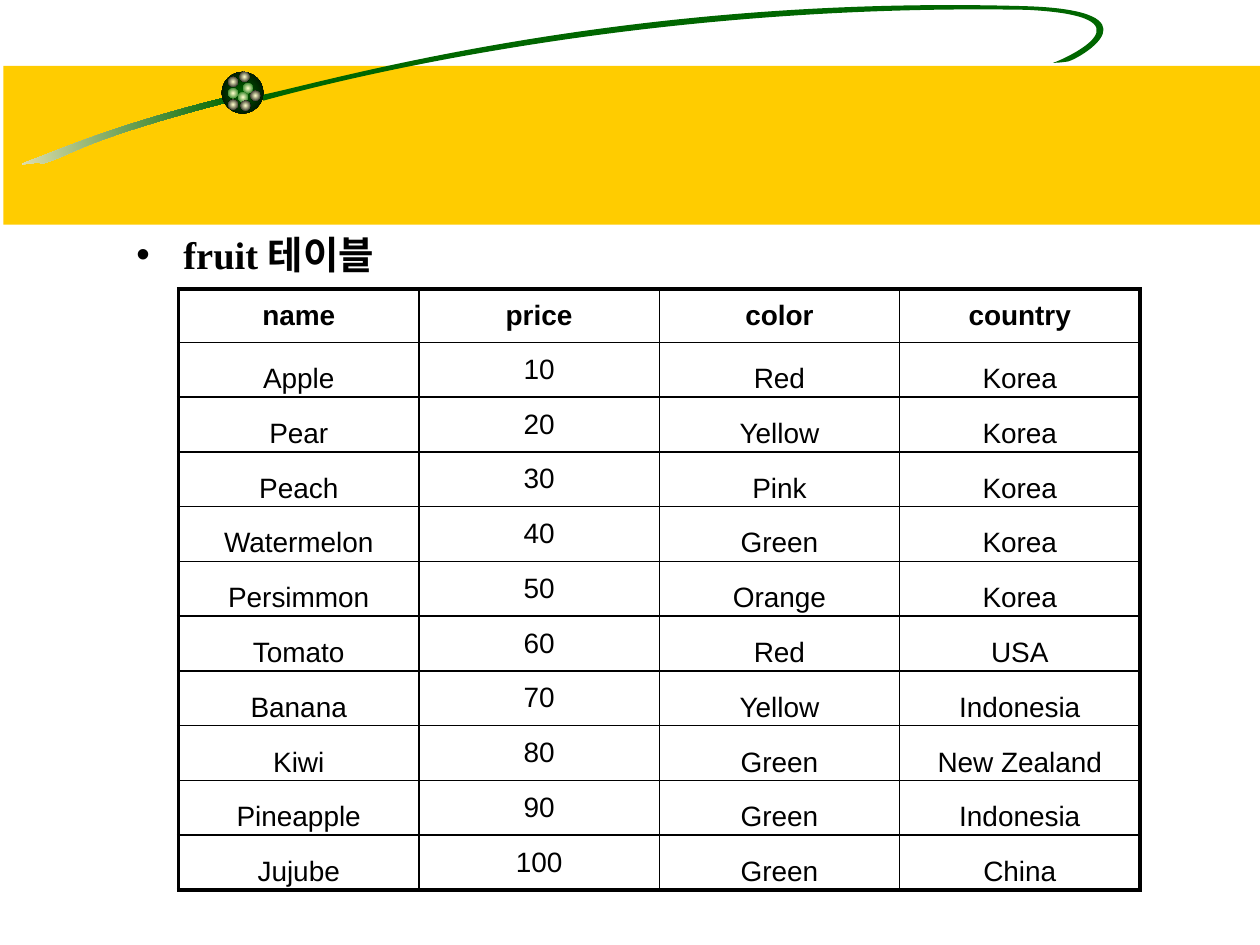
import math

from lxml import etree
from pptx import Presentation, util as u
from pptx.dml import color as dml
from pptx.enum import shapes, text
from pptx.oxml import ns

BLACK, GREEN, CREAM, GOLD = "000000", "006600", "FFFFCC", "FFCC00"

HEADER = ["name", "price", "color", "country"]
FRUITS = [
    ["Apple", 10, "Red", "Korea"],
    ["Pear", 20, "Yellow", "Korea"],
    ["Peach", 30, "Pink", "Korea"],
    ["Watermelon", 40, "Green", "Korea"],
    ["Persimmon", 50, "Orange", "Korea"],
    ["Tomato", 60, "Red", "USA"],
    ["Banana", 70, "Yellow", "Indonesia"],
    ["Kiwi", 80, "Green", "New Zealand"],
    ["Pineapple", 90, "Green", "Indonesia"],
    ["Jujube", 100, "Green", "China"],
]

# Outlines in cm: a start point, then Bezier segments (two controls and an end)
TAIL = [(4.57, 1.96),
        (2.36, 2.51), (1.32, 2.97), (0.71, 3.2),
        (0.08, 3.43), (0.74, 3.23), (0.86, 3.3),
        (1.5, 3.12), (1.52, 2.87), (4.6, 2.06),
        (4.6, 2.06), (4.57, 1.96), (4.57, 1.96)]
LOOP = [(5.21, 1.93),
        (6.32, 1.73), (12.42, -0.13), (20.75, 0.13),
        (23.34, 0.23), (21.84, 1.14), (21.54, 1.24),
        (21.54, 1.24), (21.36, 1.27), (21.23, 1.27),
        (21.51, 1.17), (23.34, 0.33), (20.7, 0.2),
        (13.97, 0.08), (8.2, 1.24), (5.31, 2.03),
        (5.31, 2.03), (5.21, 1.93), (5.21, 1.93)]
TILT = 9  # degrees, counter-clockwise

# Highlights on the ball: offset from its corner in cm and rim colour
DOTS = [(0.43, 0.23, GREEN), (0.13, 0.1, BLACK), (0.13, 0.33, GREEN),
        (0.33, 0.41, GREEN), (0.58, 0.38, BLACK), (0.38, 0.58, BLACK),
        (0.13, 0.56, BLACK), (0.36, 0, BLACK)]


def rgb(value):
    return dml.RGBColor.from_string(value)


def apply(target, **values):
    for name, value in values.items():
        setattr(target, name, value)


def add_xml(parent, tag, **attributes):
    return etree.SubElement(parent, ns.qn(tag), attributes)


def paint(shape, *colors, radial=False):
    """Fill a shape with one colour, or with a gradient between two."""
    shape.shadow.inherit = False
    shape.line.fill.background()
    if len(colors) == 1:
        shape.fill.solid()
        shape.fill.fore_color.rgb = rgb(colors[0])
        return
    shape.fill.gradient()
    shape.fill.gradient_angle = 0
    for stop, value, position in zip(shape.fill.gradient_stops, colors, (0, 1)):
        stop.color.rgb = rgb(value)
        stop.position = position
    if radial:
        gradient = shape.element.spPr.find(ns.qn("a:gradFill"))
        gradient.remove(gradient.find(ns.qn("a:lin")))
        circle = add_xml(gradient, "a:path", path="circle")
        add_xml(circle, "a:fillToRect", l="50000", t="50000", r="50000", b="50000")


def add_plain(page, kind, left, top, width, height):
    return page.shapes.add_shape(kind, u.Cm(left), u.Cm(top), u.Cm(width), u.Cm(height))


def add_curve(page, outline, left, top, center):
    """Build a tilted closed freeform whose segments are Bezier curves."""
    # Level the points about the centre, as the shape itself is rotated
    cos, sin = math.cos(math.radians(TILT)), math.sin(math.radians(TILT))
    points = []
    for x, y in outline:
        dx, dy = x - center[0], y - center[1]
        points.append((u.Cm(left + center[0] + dx * cos - dy * sin),
                       u.Cm(top + center[1] + dx * sin + dy * cos)))
    builder = page.shapes.build_freeform(*points[0])
    builder.add_line_segments(points[1:], close=True)
    shape = builder.convert_to_shape()
    shape.rotation = 360 - TILT
    # Turn every three straight segments into one curve
    lines = list(shape.element.iter(ns.qn("a:lnTo")))
    for first in range(0, len(lines) - 2, 3):
        curve = etree.Element(ns.qn("a:cubicBezTo"))
        lines[first].addprevious(curve)
        for line in lines[first:first + 3]:
            curve.append(line[0])
            line.getparent().remove(line)
    return shape


def add_banner(page, left, top, width, height):
    # Gold band
    band_top = 1.33
    band = add_plain(page, shapes.MSO_SHAPE.RECTANGLE,
                     left + 0.07, top + band_top, width, height - band_top)
    paint(band, GOLD)
    # Swoosh
    paint(add_curve(page, TAIL, left, top, (2.34, 2.69)), "F5EBC1", GREEN)
    paint(add_curve(page, LOOP, left, top, (14.27, 1)), GREEN)
    # Ball with highlights
    ball_left, ball_top = left + 4.47, top + 1.45
    oval = shapes.MSO_SHAPE.OVAL
    paint(add_plain(page, oval, ball_left, ball_top, 0.84, 0.84), GREEN, BLACK, radial=True)
    for x, y, rim in DOTS:
        dot = add_plain(page, oval, ball_left + x, ball_top + y, 0.2, 0.2)
        paint(dot, CREAM, rim, radial=True)


def add_heading(page, left, top, width, height):
    box = page.shapes.add_textbox(u.Cm(left), u.Cm(top), u.Cm(width), u.Cm(height))
    box.text_frame.word_wrap = True
    para = box.text_frame.paragraphs[0]
    span = para.add_run()
    span.text = "fruit 테이블"
    apply(span.font, name="Times New Roman", size=u.Pt(22), bold=True)
    span.font.color.rgb = rgb(BLACK)
    # Hanging bullet
    indent = u.Cm(0.95)
    properties = para._p.get_or_add_pPr()
    properties.set("marL", str(indent))
    properties.set("indent", str(-indent))
    add_xml(properties, "a:buFont", typeface="Arial")
    add_xml(properties, "a:buChar", char="•")


def add_border(cell, side, points):
    line = add_xml(cell._tc.get_or_add_tcPr(), f"a:ln{side}", w=str(u.Pt(points)))
    add_xml(add_xml(line, "a:solidFill"), "a:srgbClr", val=BLACK)


def add_fruit_table(page, left, top, width, height):
    rows = [HEADER] + FRUITS
    last_row, last_column = len(rows) - 1, len(HEADER) - 1
    table = page.shapes.add_table(len(rows), len(HEADER), u.Cm(left), u.Cm(top),
                                  u.Cm(width), u.Cm(height)).table
    apply(table, first_row=False, horz_banding=False)
    for r, row in enumerate(rows):
        for c, value in enumerate(row):
            cell = table.cell(r, c)
            # Heavy frame outside, thin rules inside
            edges = {"L": c == 0, "R": c == last_column, "T": r == 0, "B": r == last_row}
            for side, outer in edges.items():
                add_border(cell, side, 2.25 if outer else 1)
            cell.fill.background()
            # Words below the header sit lower than numbers
            para = cell.text_frame.paragraphs[0]
            para.alignment = text.PP_ALIGN.CENTER
            wordy = r > 0 and isinstance(value, str)
            side, end = (0.18, 0.01) if wordy else (0.25, 0.13)
            apply(cell, vertical_anchor=text.MSO_ANCHOR.MIDDLE,
                  margin_left=u.Cm(side), margin_right=u.Cm(side),
                  margin_top=u.Cm(end), margin_bottom=u.Cm(end))
            if wordy:
                para.line_spacing = 1.6
            span = para.add_run()
            span.text = str(value)
            apply(span.font, name="Arial", size=u.Pt(16), bold=r == 0)
            span.font.color.rgb = rgb(BLACK)


def main():
    deck = Presentation()
    apply(deck, slide_width=u.Cm(25.4), slide_height=u.Cm(19.05))
    page = deck.slides.add_slide(deck.slide_layouts[6])
    add_banner(page, 0, 0, 25.4, 4.53)
    add_heading(page, 2.5, 4.54, 21.59, 13.54)
    add_fruit_table(page, 3.6, 5.83, 19.38, 11.77)
    deck.save("out.pptx")


if __name__ == "__main__":
    main()
